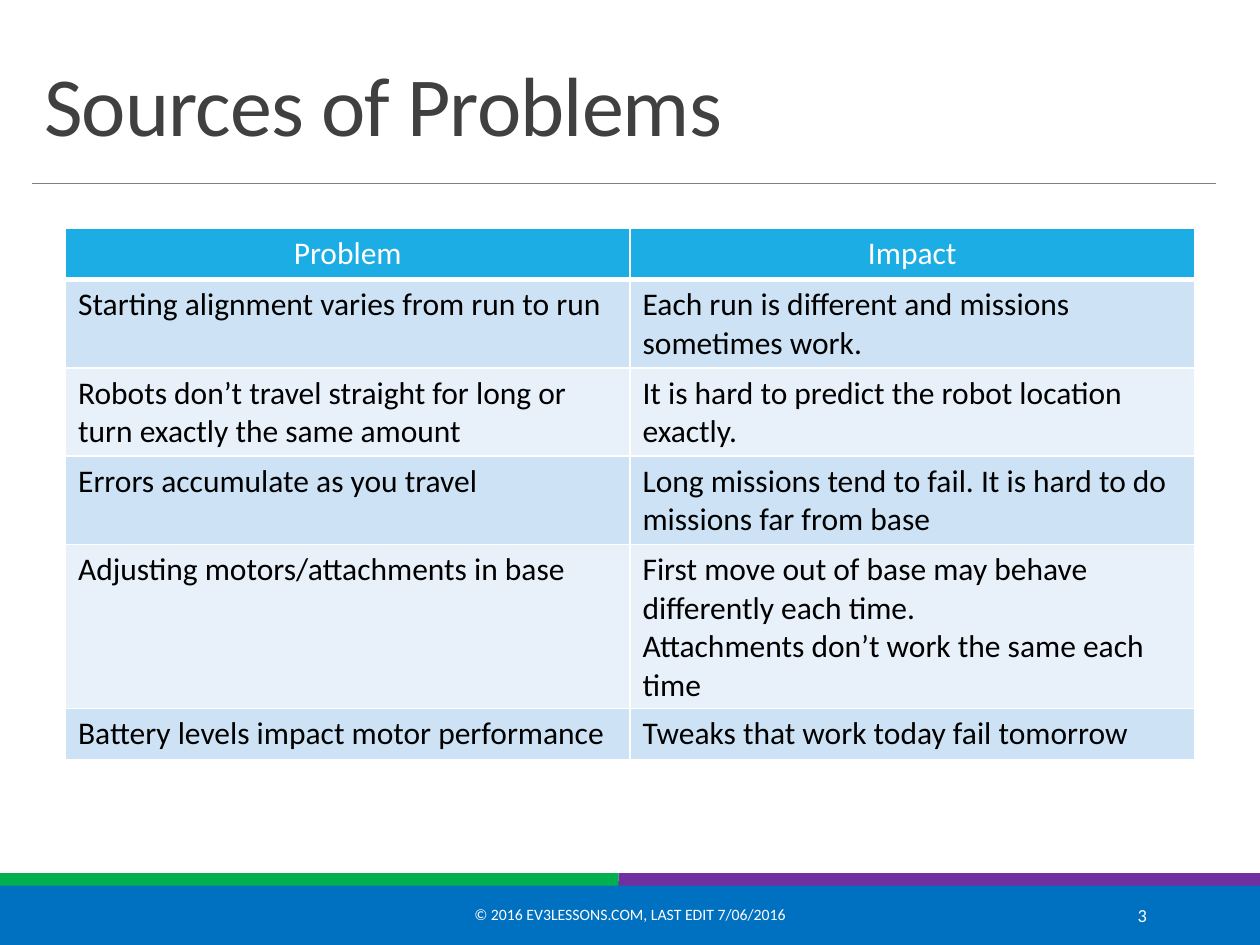
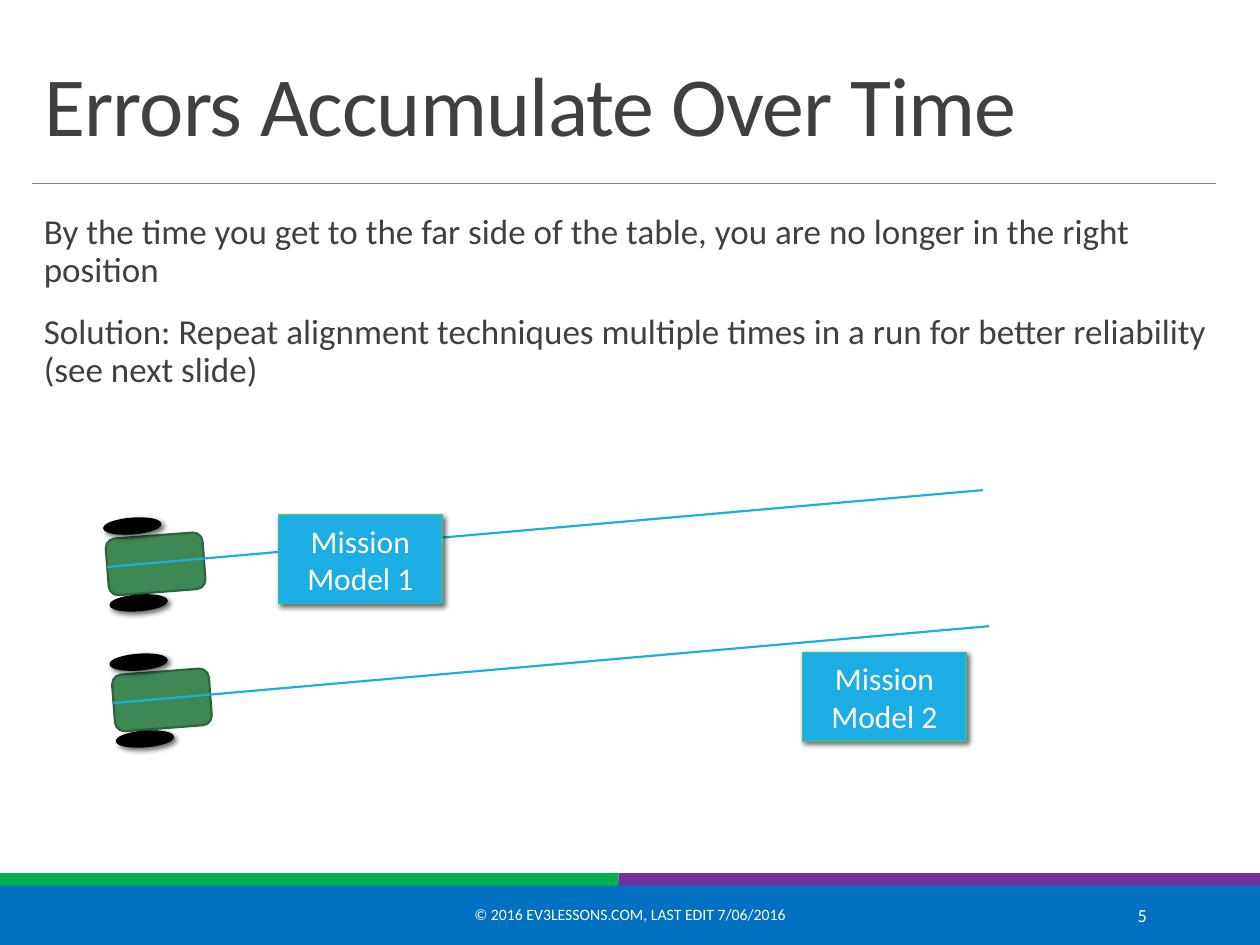
from dataclasses import dataclass

from lxml import etree
from pptx import Presentation
from pptx.dml.color import RGBColor
from pptx.enum.shapes import MSO_CONNECTOR, MSO_SHAPE
from pptx.enum.text import MSO_ANCHOR, MSO_AUTO_SIZE, PP_ALIGN
from pptx.oxml.ns import qn
from pptx.util import Inches, Pt

RECTANGLE, ROUNDED, OVAL = MSO_SHAPE.RECTANGLE, MSO_SHAPE.ROUNDED_RECTANGLE, MSO_SHAPE.OVAL
LEFT, CENTER, RIGHT = PP_ALIGN.LEFT, PP_ALIGN.CENTER, PP_ALIGN.RIGHT
MIDDLE, BOTTOM = MSO_ANCHOR.MIDDLE, MSO_ANCHOR.BOTTOM
STRAIGHT = MSO_CONNECTOR.STRAIGHT

FONT = "Calibri"
COLORS = {
    "text": "404040",
    "black": "000000",
    "white": "FFFFFF",
    "rule": "808080",
    "footer": "0070C0",
    "green_band": "00B050",
    "purple_band": "7030A0",
    "accent": "1CADE4",
    "mission_edge": "42BA97",
    "robot": "3E8853",
    "robot_edge": "2E653D",
    "row_dark": "CDE3F5",
    "row_light": "E8F1FA",
}
FOOTER_TEXT = "© 2016 EV3LESSONS.COM, LAST EDIT 7/06/2016"

PROBLEM_ROWS = [
    ("Problem", "Impact"),
    ("Starting alignment varies from run to run",
     "Each run is different and missions sometimes work."),
    ("Robots don’t travel straight for long or turn exactly the same amount",
     "It is hard to predict the robot location exactly."),
    ("Errors accumulate as you travel",
     "Long missions tend to fail. It is hard to do missions far from base"),
    ("Adjusting motors/attachments in base",
     "First move out of base may behave differently each time.\n"
     "Attachments don’t work the same each time"),
    ("Battery levels impact motor performance",
     "Tweaks that work today fail tomorrow"),
]
BODY_TEXT = (
    "By the time you get to the far side of the table, you are no longer in the right position\n"
    "Solution: Repeat alignment techniques multiple times in a run for better reliability "
    "(see next slide)"
)


@dataclass(frozen=True)
class Box:
    left: float
    top: float
    width: float
    height: float

    def lengths(self) -> tuple:
        return tuple(Inches(v) for v in (self.left, self.top, self.width, self.height))


@dataclass(frozen=True)
class Band:
    box: Box
    color: str


@dataclass(frozen=True)
class Run:
    """A robot's drift past a mission model, placed by the robot's top left corner."""
    left: float
    top: float
    mission: str
    mission_box: Box


BANDS = [
    Band(Box(0, 7, 10, 0.5), "footer"),
    Band(Box(0, 6.93, 4.91, 0.1), "green_band"),
    Band(Box(4.91, 6.93, 5.09, 0.1), "purple_band"),
]
RUNS = [
    Run(0.85, 3.95, "Mission Model 1", Box(2.21, 4.09, 1.3, 0.7)),
    Run(0.9, 5.03, "Mission Model 2", Box(6.37, 5.18, 1.3, 0.7)),
]
ROBOT_TILT = 85.6


def rgb(name: str) -> RGBColor:
    return RGBColor.from_string(COLORS[name])


def format_text(text_frame, size: float, color: str, align=LEFT) -> None:
    for paragraph in text_frame.paragraphs:
        paragraph.alignment = align
        for run in paragraph.runs:
            run.font.name = FONT
            run.font.size = Pt(size)
            run.font.bold = False
            run.font.color.rgb = rgb(color)


def add_filled(shapes, kind, box: Box, fill: str, edge: str = "", edge_width: float = 1,
               shadow: bool = False, rotation: float = 0):
    shape = shapes.add_shape(kind, *box.lengths())
    shape.rotation = rotation
    shape.fill.solid()
    shape.fill.fore_color.rgb = rgb(fill)
    if edge:
        shape.line.color.rgb = rgb(edge)
        shape.line.width = Pt(edge_width)
    else:
        shape.line.fill.background()
    shape.shadow.inherit = False
    if shadow:
        effects = shape._element.spPr.find(qn("a:effectLst"))
        outer = etree.SubElement(effects, qn("a:outerShdw"), blurRad=str(Pt(3)),
                                 dist=str(Pt(2)), dir=str(45 * 60000), rotWithShape="0")
        tint = etree.SubElement(outer, qn("a:srgbClr"), val=COLORS["black"])
        etree.SubElement(tint, qn("a:alpha"), val="60000")
    return shape


def add_line(slide, start: tuple, end: tuple, color: str, width: float) -> None:
    points = (Inches(v) for v in (*start, *end))
    line = slide.shapes.add_connector(STRAIGHT, *points)
    line.line.color.rgb = rgb(color)
    line.line.width = Pt(width)
    etree.SubElement(line._element.spPr, qn("a:effectLst"))


def add_text(slide, box: Box, text: str, size: float, color: str, align=LEFT):
    text_frame = slide.shapes.add_textbox(*box.lengths()).text_frame
    text_frame.word_wrap = True
    text_frame.text = text
    format_text(text_frame, size, color, align)
    return text_frame


def add_content_slide(presentation, title: str, number: int):
    """Add a title-only slide with the shared bands, rule and footer."""
    slide = presentation.slides.add_slide(presentation.slide_layouts[5])
    for band in BANDS:
        edge = "footer" if band.color == "footer" else ""
        add_filled(slide.shapes, RECTANGLE, band.box, band.color, edge, 1.25)
    add_line(slide, (0.25, 1.46), (9.65, 1.46), "rule", 0.5)

    heading = slide.shapes.title
    heading.left, heading.top, heading.width, heading.height = Box(0.25, 0.31, 9.4, 0.96).lengths()
    text_frame = heading.text_frame
    text_frame.text = title
    text_frame.auto_size = MSO_AUTO_SIZE.NONE
    text_frame.vertical_anchor = BOTTOM
    format_text(text_frame, 48, "text")
    paragraph = text_frame.paragraphs[0]
    paragraph.line_spacing = 0.85
    paragraph.runs[0].font._element.set("spc", "-50")

    footer = add_text(slide, Box(3.02, 7.06, 3.96, 0.4), FOOTER_TEXT, 9, "white", CENTER)
    page = add_text(slide, Box(8.12, 7.06, 1.08, 0.4), str(number), 10.5, "white", RIGHT)
    footer.vertical_anchor = page.vertical_anchor = MIDDLE
    return slide


def add_borders(cell, bottom_width: float) -> None:
    """Give a cell white borders; call before the cell's fill is set."""
    properties = cell._tc.get_or_add_tcPr()
    for side, width in (("L", 1), ("R", 1), ("T", 1), ("B", bottom_width)):
        border = etree.SubElement(properties, qn(f"a:ln{side}"), w=str(Pt(width)))
        fill = etree.SubElement(border, qn("a:solidFill"))
        etree.SubElement(fill, qn("a:srgbClr"), val=COLORS["white"])


def add_problem_table(slide) -> None:
    row_height = 0.41
    box = Box(0.52, 1.81, 8.96, row_height * len(PROBLEM_ROWS))
    table = slide.shapes.add_table(len(PROBLEM_ROWS), 2, *box.lengths()).table
    for row_index, texts in enumerate(PROBLEM_ROWS):
        header = row_index == 0
        fill = "accent" if header else "row_dark" if row_index % 2 else "row_light"
        table.rows[row_index].height = Inches(row_height)
        for column_index, text in enumerate(texts):
            cell = table.cell(row_index, column_index)
            cell.text_frame.text = text
            format_text(cell.text_frame, 18, "white" if header else "black",
                        CENTER if header else LEFT)
            add_borders(cell, 3 if header else 1)
            cell.fill.solid()
            cell.fill.fore_color.rgb = rgb(fill)


def add_robot(slide, left: float, top: float) -> None:
    robot = slide.shapes.add_group_shape().shapes
    add_filled(robot, ROUNDED, Box(left + 0.16, top + 0.14, 0.45, 0.77), "robot",
               "robot_edge", 1.25, rotation=ROBOT_TILT)
    for offset_x, offset_y in ((0.14, 0), (0.19, 0.61)):
        add_filled(robot, OVAL, Box(left + offset_x, top + offset_y, 0.12, 0.45),
                   "black", "black", shadow=True, rotation=ROBOT_TILT)


def add_run(slide, run: Run) -> None:
    add_robot(slide, run.left, run.top)
    add_line(slide, (run.left, run.top + 0.55), (run.left + 6.95, run.top - 0.06), "accent", 1.25)
    mission = add_filled(slide.shapes, RECTANGLE, run.mission_box, "accent", "mission_edge",
                         shadow=True)
    mission.text_frame.word_wrap = True
    mission.text_frame.text = run.mission
    mission.text_frame.vertical_anchor = MIDDLE
    format_text(mission.text_frame, 18, "white", CENTER)


def add_explanation(slide) -> None:
    text_frame = add_text(slide, Box(0.25, 1.65, 9.4, 5.09), BODY_TEXT, 20, "text")
    text_frame.margin_right = 0
    for index, paragraph in enumerate(text_frame.paragraphs):
        paragraph.line_spacing = 0.9
        paragraph.space_before = Pt(12 if index else 0)
        paragraph.space_after = Pt(2)


def main() -> None:
    presentation = Presentation()
    presentation.slide_width, presentation.slide_height = Inches(10), Inches(7.5)

    add_problem_table(add_content_slide(presentation, "Sources of Problems", 3))

    errors_slide = add_content_slide(presentation, "Errors Accumulate Over Time", 5)
    add_explanation(errors_slide)
    for run in RUNS:
        add_run(errors_slide, run)

    presentation.save("out.pptx")


if __name__ == "__main__":
    main()
